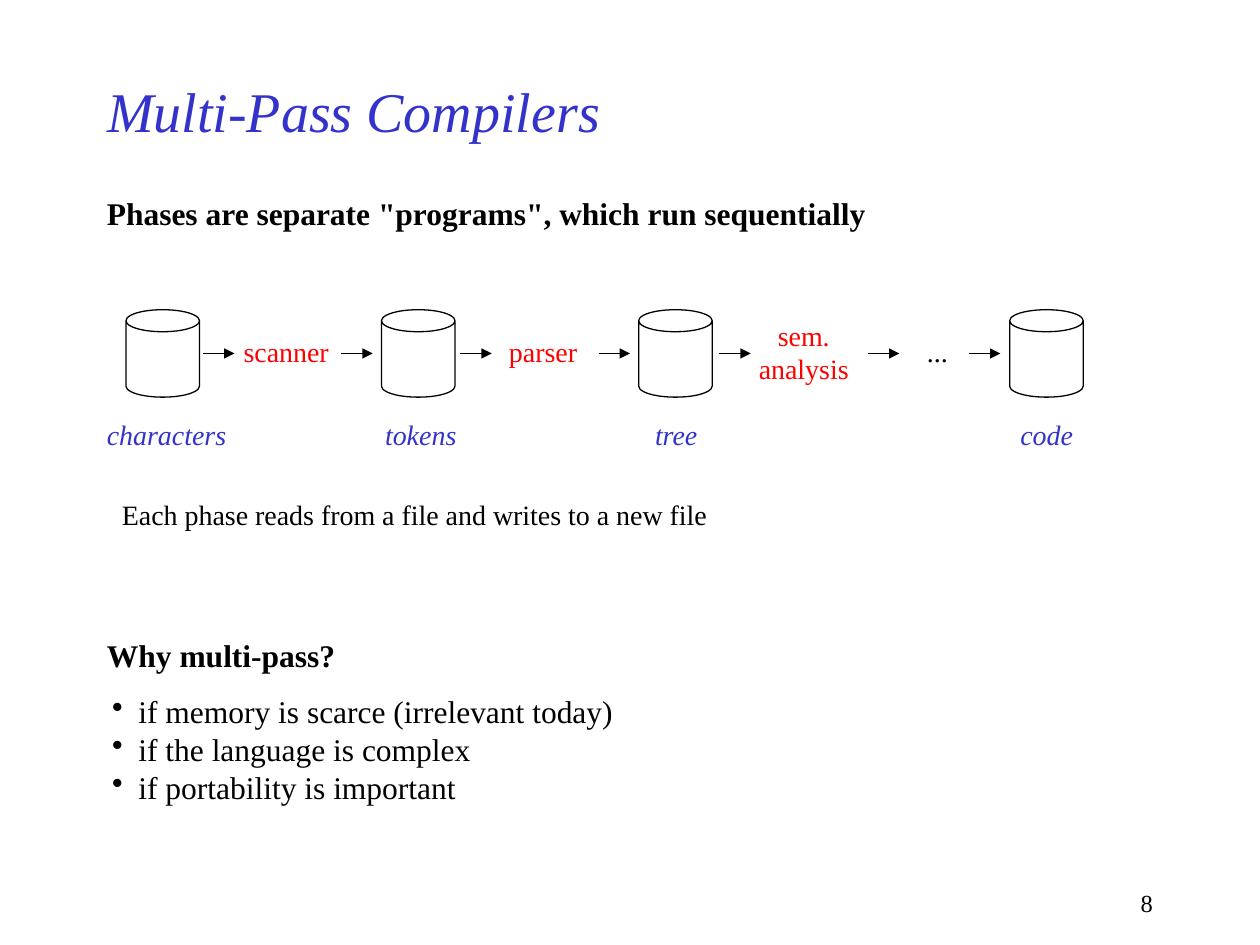
import pptx
import pptx.util
import pptx.dml.color
import pptx.enum.shapes
import pptx.enum.text
import pptx.oxml.ns
import lxml.etree

Pt = pptx.util.Pt
ALIGN = pptx.enum.text.PP_ALIGN
ANCHOR = pptx.enum.text.MSO_ANCHOR
FONT = "Times New Roman"
COLOURS = {"ink": "000000", "accent": "3333CC", "phase": "FF0000"}


def colour(name):
    return pptx.dml.color.RGBColor.from_string(COLOURS[name])


def add_child(parent, tag, **attributes):
    return lxml.etree.SubElement(parent, pptx.oxml.ns.qn(tag), **attributes)


def write(frame, text, size=16, ink="ink", bold=False, italic=False,
          align=ALIGN.LEFT, anchor=ANCHOR.TOP, bullet_indent=0):
    frame.word_wrap = False
    frame.auto_size = pptx.enum.text.MSO_AUTO_SIZE.NONE
    frame.vertical_anchor = anchor
    for index, line in enumerate(text.split("\n")):
        para = frame.add_paragraph() if index else frame.paragraphs[0]
        para.alignment = align
        if bullet_indent:
            properties = para._p.get_or_add_pPr()
            properties.set("marL", str(Pt(bullet_indent)))
            properties.set("indent", str(-Pt(bullet_indent)))
            add_child(properties, "a:buChar", char="•")
        span = para.add_run()
        span.text = line
        span.font.name = FONT
        span.font.size = Pt(size)
        span.font.bold = bold
        span.font.italic = italic
        span.font.color.rgb = colour(ink)


def add_text(page, box, text, **style):
    shape = page.shapes.add_textbox(*map(Pt, box))
    write(shape.text_frame, text, **style)


def add_title(page, box, text):
    title = page.shapes.title
    title.left, title.top, title.width, title.height = map(Pt, box)
    write(title.text_frame, text, size=32, ink="accent", italic=True, anchor=ANCHOR.MIDDLE)


def add_store(page, box):
    store = page.shapes.add_shape(pptx.enum.shapes.MSO_SHAPE.CAN, *map(Pt, box))
    store.adjustments[0] = 0.3
    store.shadow.inherit = False
    store.fill.background()
    store.line.color.rgb = colour("ink")
    store.line.width = Pt(0.75)


def add_arrow(page, left, top, length):
    arrow = page.shapes.add_connector(
        pptx.enum.shapes.MSO_CONNECTOR.STRAIGHT,
        Pt(left), Pt(top), Pt(left + length), Pt(top))
    arrow.line.color.rgb = colour("ink")
    arrow.line.width = Pt(0.75)
    add_child(arrow.line._get_or_add_ln(), "a:tailEnd", type="triangle")
    add_child(arrow._element.spPr, "a:effectLst")


def add_pipeline(page, box):
    left, top, width, height = box
    store_width, store_height, label_height, line_height = 42, 50, 26.6, 19.4
    middle = top + store_height / 2
    stores = [("characters", 18, 0, 83), ("tokens", 164, 159, 55.5),
              ("tree", 311, 313.2, 39.6), ("code", 523, 522, 44.6)]
    for label, store_left, label_left, label_width in stores:
        add_store(page, (left + store_left, top, store_width, store_height))
        add_text(page, (left + label_left, top + height - label_height, label_width, label_height),
                 label, ink="accent", italic=True)
    phases = [("scanner", 77.8, 63.4, "phase"), ("parser", 229.7, 53.3, "phase"),
              ("sem.\nanalysis", 372.2, 66.2, "phase"), ("...", 468.7, 26, "ink")]
    for label, label_left, label_width, ink in phases:
        text_height = label_height + line_height * label.count("\n")
        add_text(page, (left + label_left, middle - text_height / 2 - 0.8, label_width, text_height),
                 label, ink=ink, align=ALIGN.CENTER)
    for arrow_left in (62, 141, 209, 288, 357, 442, 499.7):
        add_arrow(page, left + arrow_left, middle, 18)


def add_reasons(page, box):
    left, top, width, height = box
    heading_height = 29
    add_text(page, (left, top, 145, heading_height), "Why multi-pass?", size=18, bold=True)
    reasons = ["if memory is scarce (irrelevant today)",
               "if the language is complex",
               "if portability is important"]
    add_text(page, (left + 3, top + height - 72, width - 3, 72), "\n".join(reasons),
             size=18, bullet_indent=15)


deck = pptx.Presentation()
deck.slide_width, deck.slide_height = Pt(720), Pt(540)
page = deck.slides.add_slide(deck.slide_layouts[5])
add_title(page, (54, 36, 540, 54), "Multi-Pass Compilers")
add_text(page, (54, 107.5, 448.5, 29), 'Phases are separate "programs", which run sequentially',
         size=18, bold=True)
add_pipeline(page, (54, 177, 567, 84.5))
add_text(page, (62.6, 281, 350.6, 26.6), "Each phase reads from a file and writes to a new file")
add_reasons(page, (54, 360, 304, 104))
add_text(page, (516, 504, 150, 24), "8", size=14, align=ALIGN.RIGHT)
deck.save("out.pptx")
